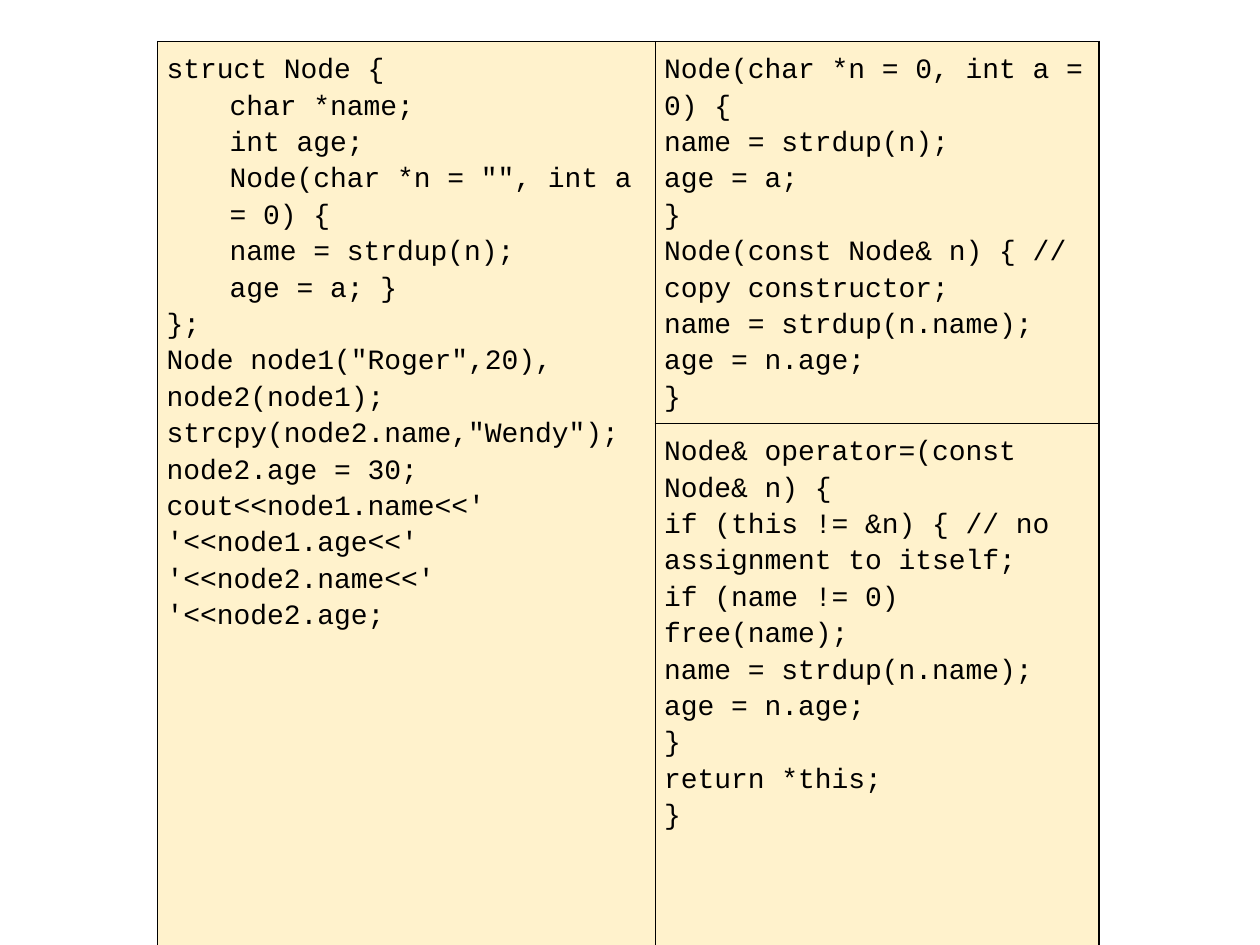
from lxml import etree
from pptx import Presentation
from pptx import util as u
from pptx.dml.color import RGBColor
from pptx.oxml import ns

CREAM = RGBColor(0xFF, 0xF2, 0xCC)
BLACK = RGBColor(0, 0, 0)
FONT = "Courier New"
PAD = u.Cm(0.18)
INDENT = u.Cm(1.27)

# A leading tab marks an indented line.
STRUCT = [
    "struct Node {",
    "\tchar *name;",
    "\tint age;",
    '\tNode(char *n = "", int a = 0) {',
    "\tname = strdup(n);",
    "\tage = a; }",
    "};",
    'Node node1("Roger",20), node2(node1);',
    'strcpy(node2.name,"Wendy");',
    "node2.age = 30;",
    "cout<<node1.name<<' '<<node1.age<<' '<<node2.name<<' '<<node2.age;",
]
CONSTRUCTORS = [
    "Node(char *n = 0, int a = 0) {",
    "name = strdup(n);",
    "age = a;",
    "}",
    "Node(const Node& n) { // copy constructor;",
    "name = strdup(n.name);",
    "age = n.age;",
    "}",
]
ASSIGNMENT = [
    "Node& operator=(const Node& n) {",
    "if (this != &n) { // no assignment to itself;",
    "if (name != 0)",
    "free(name);",
    "name = strdup(n.name);",
    "age = n.age;",
    "}",
    "return *this;",
    "}",
]


def style_cell(cell):
    """Give a cell its margins, black borders and cream fill."""
    cell.margin_left = cell.margin_right = PAD
    cell.margin_top = cell.margin_bottom = PAD
    tc_pr = cell._tc.get_or_add_tcPr()
    for side in ("lnL", "lnR", "lnT", "lnB"):
        ln = etree.SubElement(tc_pr, ns.qn(f"a:{side}"), w=str(u.Pt(1)))
        fill = etree.SubElement(ln, ns.qn("a:solidFill"))
        etree.SubElement(fill, ns.qn("a:srgbClr"), val=str(BLACK))
    cell.fill.solid()
    cell.fill.fore_color.rgb = CREAM


def write_code(cell, lines):
    """Write lines of code into a cell, one paragraph each."""
    tf = cell.text_frame
    for i, line in enumerate(lines):
        p = tf.add_paragraph() if i else tf.paragraphs[0]
        p.text = line.lstrip("\t")
        p.line_spacing = 1.15
        if line.startswith("\t"):
            p_pr = p._p.get_or_add_pPr()
            p_pr.set("marL", str(INDENT))
            p_pr.set("indent", "0")
        for r in p.runs:
            r.font.name = FONT
            r.font.size = u.Pt(16)
            r.font.color.rgb = BLACK


def add_code_table(s, left, top, width, height):
    """Place the struct beside its constructors and assignment operator."""
    gf = s.shapes.add_table(2, 2, left, top, width, height)
    table = gf.table
    table.first_row = table.horz_banding = False
    table.columns[0].width = u.Cm(10.03)
    table.columns[1].width = width - u.Cm(10.03)
    for row in table.rows:
        row.height = u.Cm(0.74)  # rows grow to fit their code
    gf.height = height
    for cell in table.iter_cells():
        style_cell(cell)
    table.cell(0, 0).merge(table.cell(1, 0))
    write_code(table.cell(0, 0), STRUCT)
    write_code(table.cell(0, 1), CONSTRUCTORS)
    write_code(table.cell(1, 1), ASSIGNMENT)


prs = Presentation()
prs.slide_width, prs.slide_height = u.Cm(25.4), u.Cm(19.05)
s = prs.slides.add_slide(prs.slide_layouts[6])
add_code_table(s, u.Cm(3.18), u.Cm(0.84), u.Cm(18.97), u.Cm(17.07))
prs.save("out.pptx")
